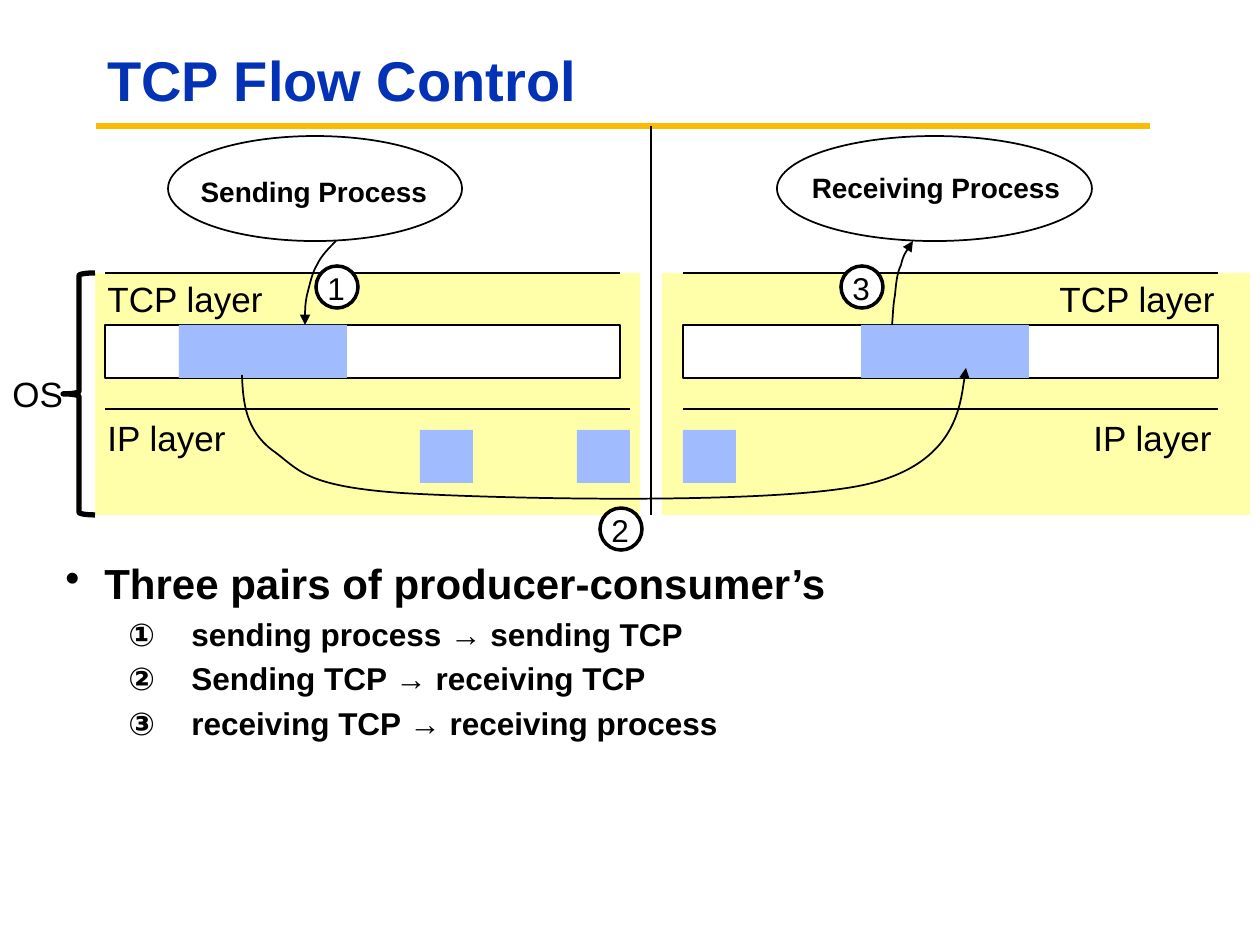
from lxml.etree import SubElement
from pptx import Presentation
from pptx.dml.color import RGBColor
from pptx.enum.shapes import MSO_CONNECTOR, MSO_SHAPE
from pptx.enum.text import MSO_ANCHOR, PP_ALIGN
from pptx.oxml.ns import qn
from pptx.util import Emu, Pt

SCALE = 914400 / 126
FONT = "Arial"
BLACK, WHITE, TITLE_BLUE = "000000", "FFFFFF", "0332B7"
GOLD, OS_YELLOW, DATA_BLUE = "FBBA03", "FFFFAA", "A0BCFE"
BAR_TOP, BAR_HEIGHT = 325, 53
PACKET_TOP, PACKET_SIZE = 430, 53
OS_TOP, OS_HEIGHT = 273, 242


def px(length):
    return Emu(round(length * SCALE))


def color(value):
    return RGBColor.from_string(value)


def style_shape(shape, fill, line, width=1):
    shape.shadow.inherit = False
    if fill:
        shape.fill.solid()
        shape.fill.fore_color.rgb = color(fill)
    else:
        shape.fill.background()
    if line:
        shape.line.color.rgb = color(line)
        shape.line.width = Pt(width)
    else:
        shape.line.fill.background()


def add_box(slide, kind, left, top, width, height, fill=None, line=None, line_width=1):
    shape = slide.shapes.add_shape(kind, px(left), px(top), px(width), px(height))
    style_shape(shape, fill, line, line_width)
    return shape


def add_line(slide, start_x, start_y, end_x, end_y, line=BLACK, width=1):
    connector = slide.shapes.add_connector(
        MSO_CONNECTOR.STRAIGHT, px(start_x), px(start_y), px(end_x), px(end_y))
    connector.line.color.rgb = color(line)
    connector.line.width = Pt(width)
    SubElement(connector._element.spPr, qn("a:effectLst"))


def add_curve(slide, points, arrow_end):
    positions = [(px(x), px(y)) for x, y in points]
    builder = slide.shapes.build_freeform(*positions[0])
    builder.add_line_segments(positions[1:], close=False)
    shape = builder.convert_to_shape()
    style_shape(shape, None, BLACK)
    path = next(shape._element.iter(qn("a:path")))
    segments = path.findall(qn("a:lnTo"))
    for first in range(0, len(segments), 3):
        curve = SubElement(path, qn("a:cubicBezTo"))
        for segment in segments[first:first + 3]:
            curve.append(segment[0])
            path.remove(segment)
    SubElement(shape.line._get_or_add_ln(), qn(f"a:{arrow_end}"), type="triangle")


def style_font(paragraph, size, bold=False, font_color=BLACK):
    paragraph.font.name = FONT
    paragraph.font.size = Pt(size)
    paragraph.font.bold = bold
    paragraph.font.color.rgb = color(font_color)


def add_label(slide, text, left, top, width, height, size=20, bold=False, align=PP_ALIGN.LEFT):
    box = slide.shapes.add_textbox(px(left), px(top), px(width), px(height))
    box.text_frame.word_wrap = False
    paragraph = box.text_frame.paragraphs[0]
    paragraph.text = text
    paragraph.alignment = align
    style_font(paragraph, size, bold)


def add_title(slide, text):
    box = slide.shapes.add_textbox(px(95), px(32), px(1060), px(102))
    box.text_frame.word_wrap = True
    box.text_frame.vertical_anchor = MSO_ANCHOR.MIDDLE
    paragraph = box.text_frame.paragraphs[0]
    paragraph.text = text
    paragraph.line_spacing = 0.9
    style_font(paragraph, 32, True, TITLE_BLUE)


def add_bullet(paragraph, text, size, margin, hang, tag, attributes):
    paragraph.text = text
    properties = paragraph._p.get_or_add_pPr()
    properties.set("marL", str(px(margin)))
    properties.set("indent", str(-px(hang)))
    SubElement(properties, qn(tag), attributes)
    paragraph.line_spacing = 0.9
    style_font(paragraph, size, True)


def add_body(slide, heading, items):
    box = slide.shapes.add_textbox(px(53), px(557), px(1207), px(315))
    frame = box.text_frame
    frame.word_wrap = True
    add_bullet(frame.paragraphs[0], heading, 24, 39, 39, "a:buChar", {"char": "•"})
    for item in items:
        paragraph = frame.add_paragraph()
        paragraph.level = 1
        add_bullet(paragraph, item, 18, 126, 63, "a:buAutoNum", {"type": "circleNumDbPlain"})
        paragraph.space_before = Pt(6)


def add_step(slide, number, left, top):
    add_box(slide, MSO_SHAPE.OVAL, left, top, 42, 42, WHITE, BLACK, 2)
    add_label(slide, number, left - 1, top - 3, 43, 50, 18)


def add_process(slide, text, left, width, text_left, text_top, text_width):
    add_box(slide, MSO_SHAPE.OVAL, left, 136, width, 105, line=BLACK)
    add_label(slide, text, text_left, text_top, text_width, 47, 16, True, PP_ALIGN.CENTER)


def add_buffer(slide, left, width, data_left):
    add_box(slide, MSO_SHAPE.RECTANGLE, left, BAR_TOP, width, BAR_HEIGHT, WHITE, BLACK)
    add_box(slide, MSO_SHAPE.RECTANGLE, data_left, BAR_TOP, 168, BAR_HEIGHT, DATA_BLUE)


def main():
    presentation = Presentation()
    presentation.slide_width, presentation.slide_height = px(1260), px(945)
    slide = presentation.slides.add_slide(presentation.slide_layouts[6])

    add_line(slide, 96, 126, 1150, 126, GOLD, 3.75)
    for left, width in ((662, 588), (95, 545)):
        add_box(slide, MSO_SHAPE.RECTANGLE, left, OS_TOP, width, OS_HEIGHT, OS_YELLOW)
    add_title(slide, "TCP Flow Control")
    add_body(slide, "Three pairs of producer-consumer’s", (
        "sending process → sending TCP",
        "Sending TCP → receiving TCP",
        "receiving TCP → receiving process",
    ))

    add_process(slide, "Sending Process", 168, 294, 187, 168, 254)
    add_process(slide, "Receiving Process", 777, 315, 798, 164, 276)
    add_buffer(slide, 105, 515, 179)
    add_buffer(slide, 683, 535, 861)
    add_line(slide, 651, 126, 651, 515)
    for left, right, top in ((105, 620, 273), (105, 630, 409), (683, 1218, 273), (683, 1218, 409)):
        add_line(slide, left, top, right, top)

    for text, left, top, width in (
        ("TCP layer", 95, 271, 181), ("TCP layer", 1047, 271, 181),
        ("IP layer", 95, 410, 145), ("IP layer", 1081, 410, 145),
        ("OS", 0, 366, 77),
    ):
        add_label(slide, text, left, top, width, 55)
    for left in (420, 577, 683):
        add_box(slide, MSO_SHAPE.RECTANGLE, left, PACKET_TOP, PACKET_SIZE, PACKET_SIZE, DATA_BLUE)

    add_curve(slide, ((336, 241), (329, 248), (321, 256), (317, 265), (312, 273), (310, 284),
                      (307, 295), (305, 305), (305, 315), (305, 325)), "tailEnd")
    add_curve(slide, ((913, 241), (908, 248), (903, 256), (901, 265), (897, 273), (896, 284),
                      (895, 295), (893, 305), (893, 315), (892, 325)), "headEnd")
    add_curve(slide, ((242, 375), (243, 403), (246, 430), (272, 450), (299, 469), (302, 486),
                      (401, 493), (500, 499), (771, 505), (864, 485), (959, 464), (966, 368),
                      (966, 368)), "tailEnd")

    brace = add_box(slide, MSO_SHAPE.LEFT_BRACE, 63, OS_TOP, 32, OS_HEIGHT, WHITE, BLACK, 3)
    brace.adjustments[0] = 0.08
    for number, left, top in (("1", 316, 266), ("2", 600, 508), ("3", 841, 266)):
        add_step(slide, number, left, top)

    presentation.save("out.pptx")


if __name__ == "__main__":
    main()
